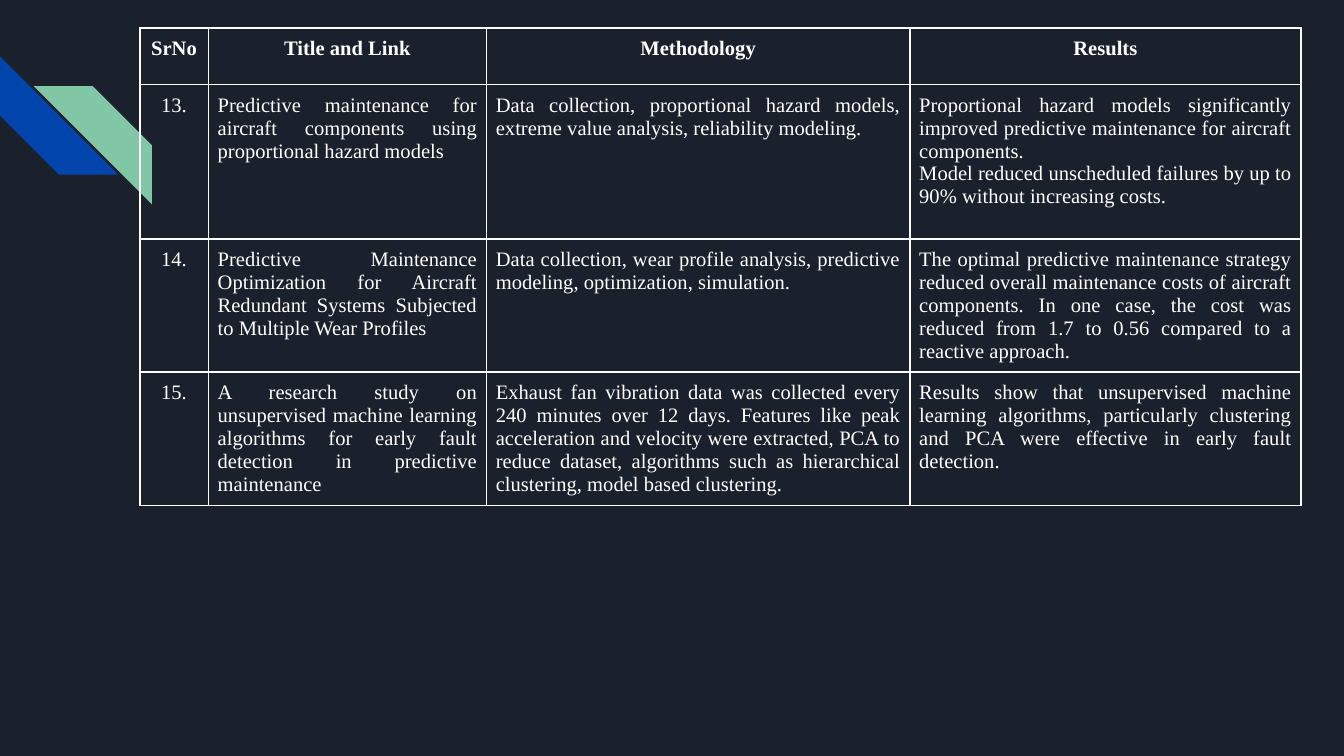
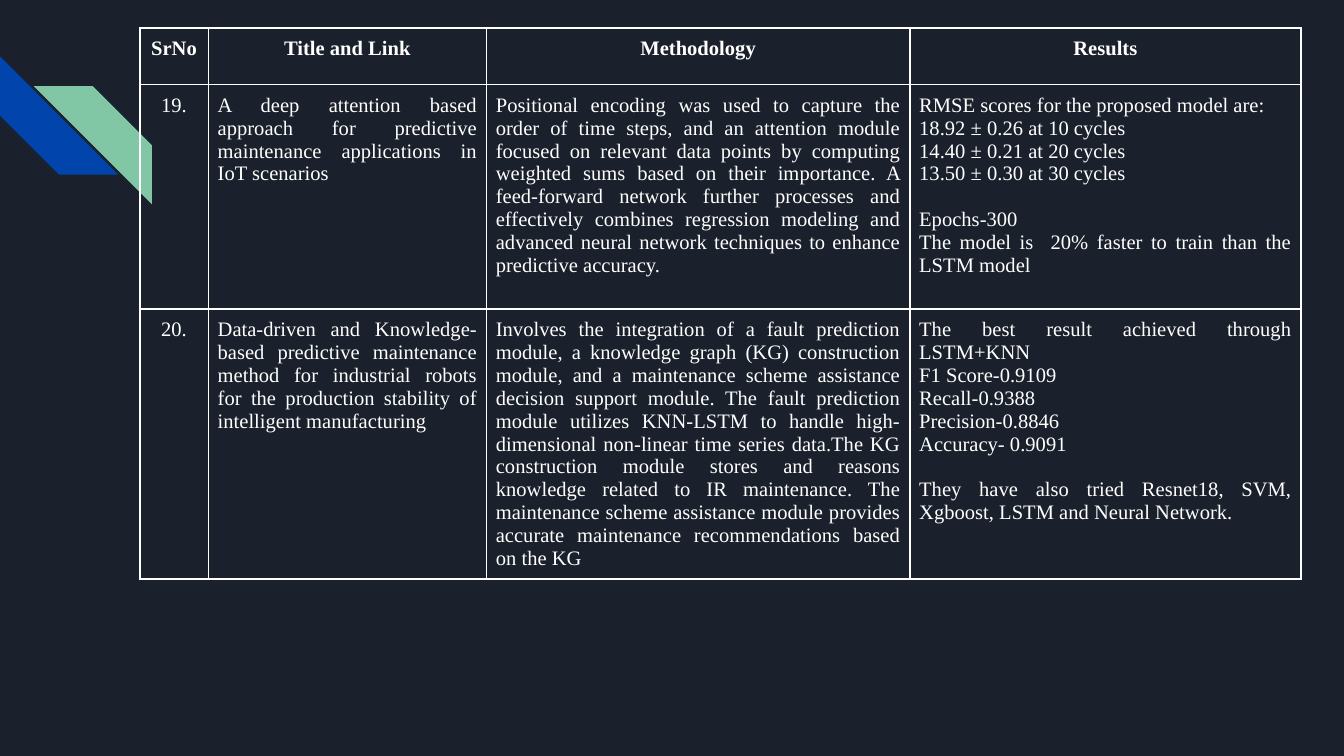
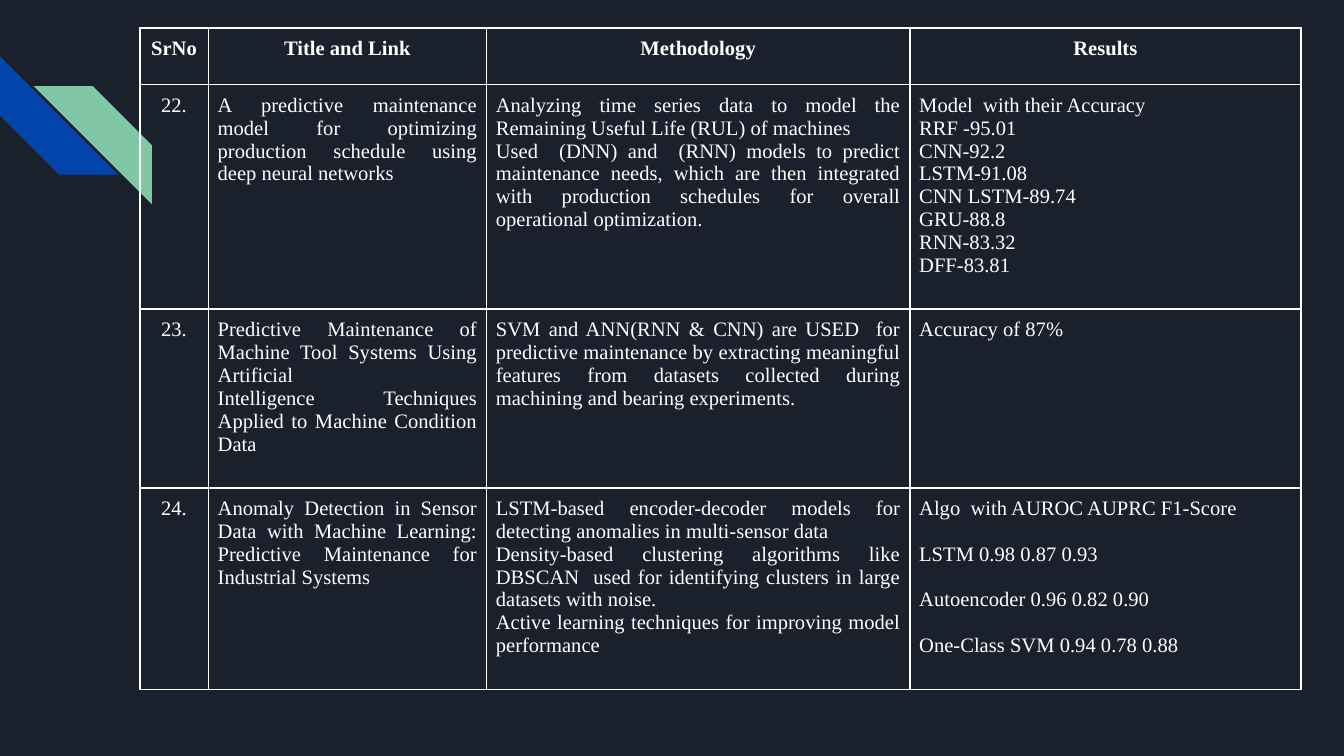
from dataclasses import dataclass

from pptx import Presentation
from pptx.dml.color import RGBColor
from pptx.enum.shapes import MSO_SHAPE
from pptx.enum.text import PP_ALIGN
from pptx.oxml import parse_xml
from pptx.oxml.ns import nsdecls
from pptx.slide import Slide
from pptx.table import _Cell
from pptx.util import Inches, Pt


@dataclass(frozen=True)
class Theme:
    background: str = "1B212C"
    blue: str = "0145AC"
    green: str = "82C7A5"
    text: str = "FFFFFF"
    border: str = "FFFFFF"
    font: str = "Times New Roman"
    size: float = 11
    gap: float = 12.25  # one line of body text
    border_width: float = 1


@dataclass(frozen=True)
class Stripe:
    left: float
    top: float
    color: str
    rotation: int = 0
    mirrored: bool = False


@dataclass(frozen=True)
class Paper:
    """One table row; a line break starts a paragraph, a double one adds a gap."""
    number: str
    title: str
    methodology: str
    results: str
    height: float


THEME = Theme()
SLIDE_WIDTH = 10
SLIDE_HEIGHT = SLIDE_WIDTH * 9 / 16
STRIPE_SIZE = 0.88
STRIPES = (
    Stripe(0, 0.42, THEME.blue, rotation=270),
    Stripe(0.25, 0.64, THEME.green, mirrored=True),
)
HEADINGS = Paper("SrNo", "Title and Link", "Methodology", "Results", 0.42)
TABLE_LEFT, TABLE_TOP = 1.04, 0.21
COLUMN_WIDTHS = (0.51, 2.07, 3.15, 2.91)
CELL_INSET = 0.07

# Literature survey, one list of papers per slide
SURVEY = (
    [
        Paper(
            "13.",
            "Predictive maintenance for aircraft components using proportional hazard models",
            "Data collection, proportional hazard models, extreme value analysis, "
            "reliability modeling.",
            "Proportional hazard models significantly improved predictive maintenance "
            "for aircraft components.\n"
            "Model reduced unscheduled failures by up to 90% without increasing costs.",
            1.15,
        ),
        Paper(
            "14.",
            "Predictive Maintenance Optimization for Aircraft Redundant Systems "
            "Subjected to Multiple Wear Profiles",
            "Data collection, wear profile analysis, predictive modeling, optimization, "
            "simulation.",
            "The optimal predictive maintenance strategy reduced overall maintenance "
            "costs of aircraft components. In one case, the cost was reduced from 1.7 "
            "to 0.56 compared to a reactive approach.",
            0.99,
        ),
        Paper(
            "15.",
            "A research study on unsupervised machine learning algorithms for early "
            "fault detection in predictive maintenance",
            "Exhaust fan vibration data was collected every 240 minutes over 12 days. "
            "Features like peak acceleration and velocity were extracted, PCA to reduce "
            "dataset, algorithms such as hierarchical clustering, model based clustering.",
            "Results show that unsupervised machine learning algorithms, particularly "
            "clustering and PCA were effective in early fault detection.",
            0.99,
        ),
    ],
    [
        Paper(
            "19.",
            "A deep attention based approach for predictive maintenance applications "
            "in IoT scenarios",
            "Positional encoding was used to capture the order of time steps, and an "
            "attention module focused on relevant data points by computing weighted sums "
            "based on their importance. A feed-forward network further processes and "
            "effectively combines regression modeling and advanced neural network "
            "techniques to enhance predictive accuracy.",
            "RMSE scores for the proposed model are:\n"
            "18.92 ± 0.26 at 10 cycles\n"
            "14.40 ± 0.21 at 20 cycles\n"
            "13.50 ± 0.30 at 30 cycles\n\n"
            "Epochs-300\n"
            "The model is  20% faster to train than the LSTM model",
            1.67,
        ),
        Paper(
            "20.",
            "Data-driven and Knowledge-based predictive maintenance method for "
            "industrial robots for the production stability of intelligent manufacturing",
            "Involves the integration of a fault prediction module, a knowledge graph "
            "(KG) construction module, and a maintenance scheme assistance decision "
            "support module. The fault prediction module utilizes KNN-LSTM to handle "
            "high-dimensional non-linear time series data.The KG construction module "
            "stores and reasons knowledge related to IR maintenance. The maintenance "
            "scheme assistance module provides accurate maintenance recommendations "
            "based on the KG",
            "The best result achieved through LSTM+KNN\n"
            "F1 Score-0.9109\n"
            "Recall-0.9388\n"
            "Precision-0.8846\n"
            "Accuracy- 0.9091\n\n"
            "They have also tried Resnet18, SVM, Xgboost, LSTM and Neural Network.",
            2.01,
        ),
    ],
    [
        Paper(
            "22.",
            "A predictive maintenance model for optimizing production schedule using "
            "deep neural networks",
            "Analyzing time series data to model the Remaining Useful Life (RUL) of "
            "machines\n"
            "Used  (DNN) and  (RNN) models to predict maintenance needs, which are then "
            "integrated with production schedules for overall operational optimization.",
            "Model  with their Accuracy\n"
            "RRF -95.01\n"
            "CNN-92.2\n"
            "LSTM-91.08\n"
            "CNN LSTM-89.74\n"
            "GRU-88.8\n"
            "RNN-83.32\n"
            "DFF-83.81",
            1.67,
        ),
        Paper(
            "23.",
            "Predictive Maintenance of Machine Tool Systems Using Artificial\n"
            "Intelligence Techniques Applied to Machine Condition Data",
            "SVM and ANN(RNN & CNN) are USED  for predictive maintenance by extracting "
            "meaningful features from datasets collected during machining and bearing "
            "experiments.",
            "Accuracy of 87%",
            1.33,
        ),
        Paper(
            "24.",
            "Anomaly Detection in Sensor Data with Machine Learning: Predictive "
            "Maintenance for Industrial Systems",
            "LSTM-based encoder-decoder models for detecting anomalies in multi-sensor "
            "data\n"
            "Density-based clustering algorithms like DBSCAN  used for identifying "
            "clusters in large datasets with noise.\n"
            "Active learning techniques for improving model performance",
            "Algo  with AUROC AUPRC F1-Score\n\n"
            "LSTM 0.98 0.87 0.93\n\n"
            "Autoencoder 0.96 0.82 0.90\n\n"
            "One-Class SVM 0.94 0.78 0.88",
            1.5,
        ),
    ],
)


def draw_stripe(slide: Slide, stripe: Stripe) -> None:
    band = slide.shapes.add_shape(
        MSO_SHAPE.DIAGONAL_STRIPE, Inches(stripe.left), Inches(stripe.top),
        Inches(STRIPE_SIZE), Inches(STRIPE_SIZE))
    band.adjustments[0] = 0.5
    band.rotation = stripe.rotation
    band.shadow.inherit = False
    band.fill.solid()
    band.fill.fore_color.rgb = RGBColor.from_string(stripe.color)
    band.line.fill.background()
    if stripe.mirrored:
        band._element.spPr.xfrm.set("flipH", "1")


def draw_borders(cell: _Cell) -> None:
    """Outline all four sides; the lines come before the fill in the cell XML."""
    properties = cell._tc.get_or_add_tcPr()
    for position, side in enumerate(("lnL", "lnR", "lnT", "lnB")):
        border = parse_xml(
            f'<a:{side} {nsdecls("a")} w="{Pt(THEME.border_width)}"><a:solidFill>'
            f'<a:srgbClr val="{THEME.border}"/></a:solidFill></a:{side}>')
        properties.insert(position, border)


def write_cell(cell: _Cell, text: str, alignment: PP_ALIGN, bold: bool) -> None:
    cell.margin_left = cell.margin_right = Inches(CELL_INSET)
    cell.margin_top = cell.margin_bottom = Inches(CELL_INSET)
    cell.fill.background()
    draw_borders(cell)
    frame = cell.text_frame
    for block_index, block in enumerate(text.split("\n\n")):
        for line_index, line in enumerate(block.split("\n")):
            first = block_index == line_index == 0
            paragraph = frame.paragraphs[0] if first else frame.add_paragraph()
            paragraph.text = line
            paragraph.alignment = alignment
            if block_index and not line_index:
                paragraph.space_before = Pt(THEME.gap)
            font = paragraph.font
            font.name, font.size, font.bold = THEME.font, Pt(THEME.size), bold
            font.color.rgb = RGBColor.from_string(THEME.text)


def draw_survey(slide: Slide, papers: list[Paper]) -> None:
    entries = [HEADINGS, *papers]
    survey = slide.shapes.add_table(
        len(entries), len(COLUMN_WIDTHS), Inches(TABLE_LEFT), Inches(TABLE_TOP),
        Inches(sum(COLUMN_WIDTHS)), Inches(sum(e.height for e in entries))).table
    survey.first_row = survey.horz_banding = False
    for column, width in zip(survey.columns, COLUMN_WIDTHS):
        column.width = Inches(width)
    for row, entry in zip(survey.rows, entries):
        row.height = Inches(entry.height)
        heading = entry is HEADINGS
        texts = (entry.number, entry.title, entry.methodology, entry.results)
        for column_index, (cell, text) in enumerate(zip(row.cells, texts)):
            centred = heading or column_index == 0
            alignment = PP_ALIGN.CENTER if centred else PP_ALIGN.JUSTIFY
            write_cell(cell, text, alignment, heading)


def main() -> None:
    deck = Presentation()
    deck.slide_width, deck.slide_height = Inches(SLIDE_WIDTH), Inches(SLIDE_HEIGHT)
    backdrop = deck.slide_master.background.fill
    backdrop.solid()
    backdrop.fore_color.rgb = RGBColor.from_string(THEME.background)
    blank_layout = deck.slide_layouts[6]
    for papers in SURVEY:
        slide = deck.slides.add_slide(blank_layout)
        for stripe in STRIPES:
            draw_stripe(slide, stripe)
        draw_survey(slide, papers)
    deck.save("out.pptx")


if __name__ == "__main__":
    main()
